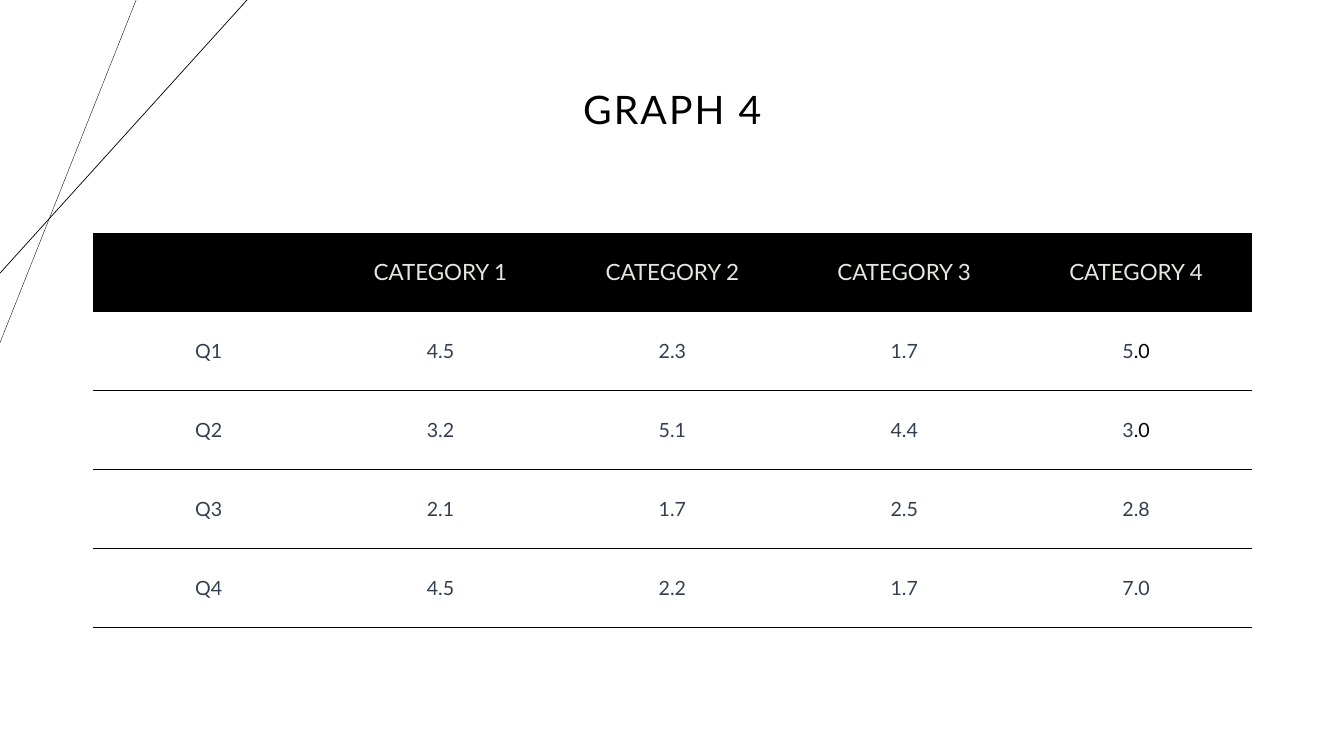
import pptx
import pptx.dml.color
import pptx.enum.shapes
import pptx.enum.text
import pptx.oxml
import pptx.oxml.ns
import pptx.util
from lxml import etree

RGBColor = pptx.dml.color.RGBColor
BLACK = RGBColor(0x00, 0x00, 0x00)
WHITE = RGBColor(0xFF, 0xFF, 0xFF)
CREAM = RGBColor(0xE9, 0xE6, 0xDF)
SLATE = RGBColor(0x33, 0x3F, 0x50)

HEADINGS = ["", "CATEGORY 1", "CATEGORY 2", "CATEGORY 3", "CATEGORY 4"]
QUARTERS = [
    ["Q1", "4.5", "2.3", "1.7", ("5", ".0")],
    ["Q2", "3.2", "5.1", "4.4", ("3", ".0")],
    ["Q3", "2.1", "1.7", "2.5", "2.8"],
    ["Q4", "4.5", "2.2", "1.7", "7.0"],
]


class SlideBuilder:
    """Draws styled elements on one slide, with lengths in percent of its size."""

    font = "Lato"
    rule = pptx.util.Pt(0.5)

    def __init__(self, deck):
        self.width, self.height = deck.slide_width, deck.slide_height
        self.slide = deck.slides.add_slide(deck.slide_layouts[5])
        self.slide.background.fill.solid()
        self.slide.background.fill.fore_color.rgb = WHITE

    def across(self, percent):
        return round(self.width * percent / 100)

    def down(self, percent):
        return round(self.height * percent / 100)

    def box(self, left, top, width, height):
        return self.across(left), self.down(top), self.across(width), self.down(height)

    def run(self, paragraph, words, size, color):
        run = paragraph.add_run()
        run.text = words
        run.font.name = self.font
        run.font.size = pptx.util.Pt(size)
        run.font.bold = False
        run.font.color.rgb = color
        return run

    def title(self, words, area):
        heading = self.slide.shapes.title
        heading.left, heading.top, heading.width, heading.height = self.box(*area)
        heading.text_frame.vertical_anchor = pptx.enum.text.MSO_ANCHOR.MIDDLE
        paragraph = heading.text_frame.paragraphs[0]
        paragraph.alignment = pptx.enum.text.PP_ALIGN.CENTER
        paragraph.line_spacing = 0.9
        run = self.run(paragraph, words, 28, BLACK)
        run.font._element.set("spc", "150")

    def line(self, top_x, left_y, weight):
        stroke = self.slide.shapes.add_connector(
            pptx.enum.shapes.MSO_CONNECTOR.STRAIGHT,
            self.across(top_x), 0, 0, self.down(left_y))
        stroke.line.color.rgb = BLACK
        stroke.line.width = pptx.util.Pt(weight)
        etree.SubElement(stroke._element.spPr, pptx.oxml.ns.qn("a:effectLst"))

    def borders(self, cell):
        properties = cell._tc.get_or_add_tcPr()
        for side in "LRTB":
            border = etree.SubElement(properties, pptx.oxml.ns.qn(f"a:ln{side}"))
            if side in "LR":
                etree.SubElement(border, pptx.oxml.ns.qn("a:noFill"))
                continue
            border.set("w", str(self.rule))
            fill = etree.SubElement(border, pptx.oxml.ns.qn("a:solidFill"))
            etree.SubElement(fill, pptx.oxml.ns.qn("a:srgbClr"), val=str(BLACK))

    def cell(self, cell, value, size, color, background):
        self.borders(cell)
        cell.fill.solid()
        cell.fill.fore_color.rgb = background
        cell.vertical_anchor = pptx.enum.text.MSO_ANCHOR.MIDDLE
        paragraph = cell.text_frame.paragraphs[0]
        paragraph.alignment = pptx.enum.text.PP_ALIGN.CENTER
        whole, decimals = value if isinstance(value, tuple) else (value, "")
        for words, shade in ((whole, color), (decimals, BLACK)):
            if words:
                self.run(paragraph, words, size, shade)

    def table(self, headings, records, area):
        grid = self.slide.shapes.add_table(
            len(records) + 1, len(headings), *self.box(*area)).table
        grid.first_row = grid.horz_banding = False
        for row, values in enumerate([headings] + records):
            style = (14, SLATE, WHITE) if row else (16, CREAM, BLACK)
            for column, value in enumerate(values):
                self.cell(grid.cell(row, column), value, *style)


def main():
    deck = pptx.Presentation()
    deck.slide_width = pptx.util.Inches(13.33)
    deck.slide_height = pptx.util.Inches(7.5)
    page = SlideBuilder(deck)
    page.line(10.13, 45.33, 0.25)
    page.line(18.38, 36.13, 0.5)
    page.table(HEADINGS, QUARTERS, (6.9, 30.8, 86.27, 52.13))
    page.title("GRAPH 4", (6.9, 5.07, 86.27, 19.33))
    deck.save("out.pptx")


if __name__ == "__main__":
    main()
